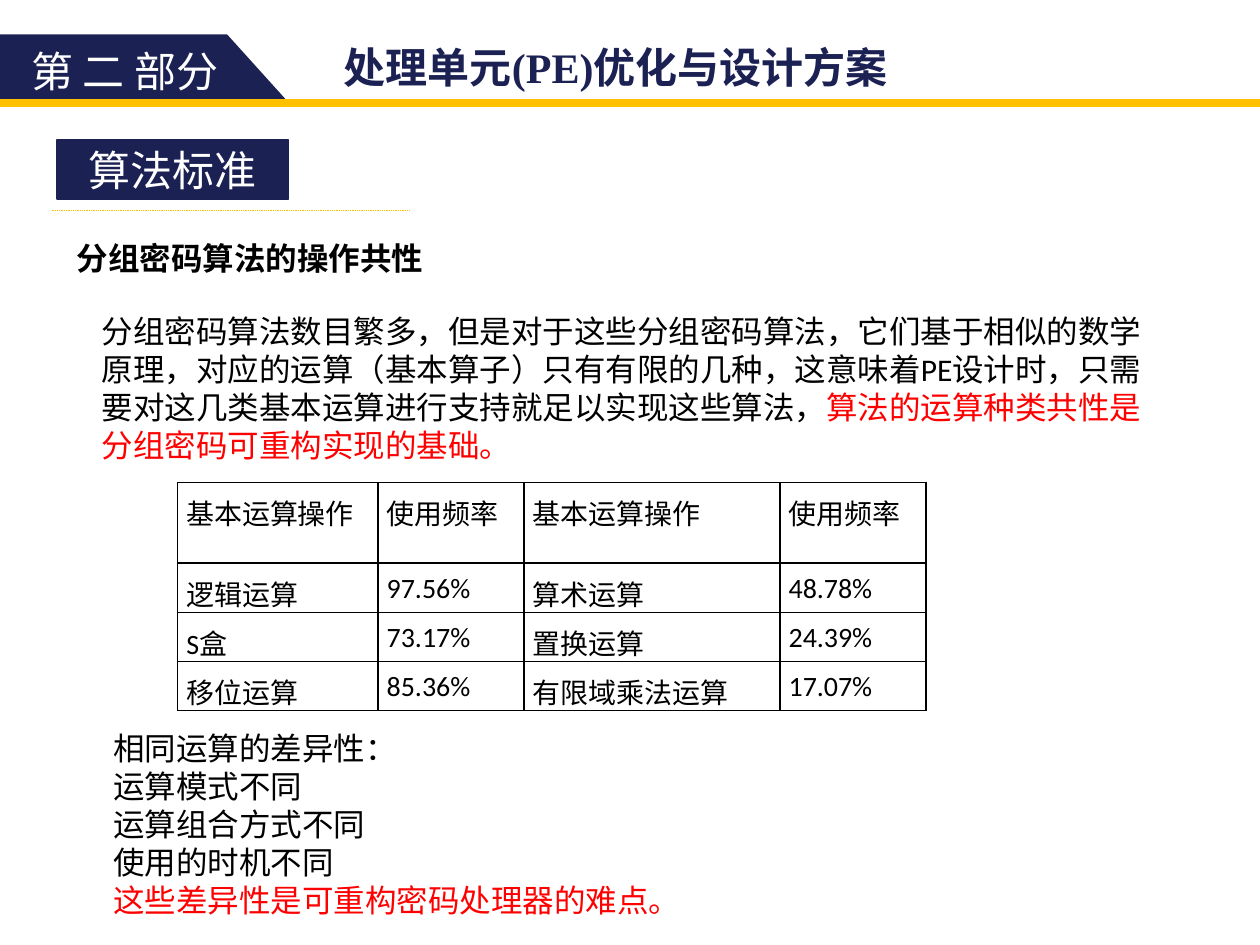
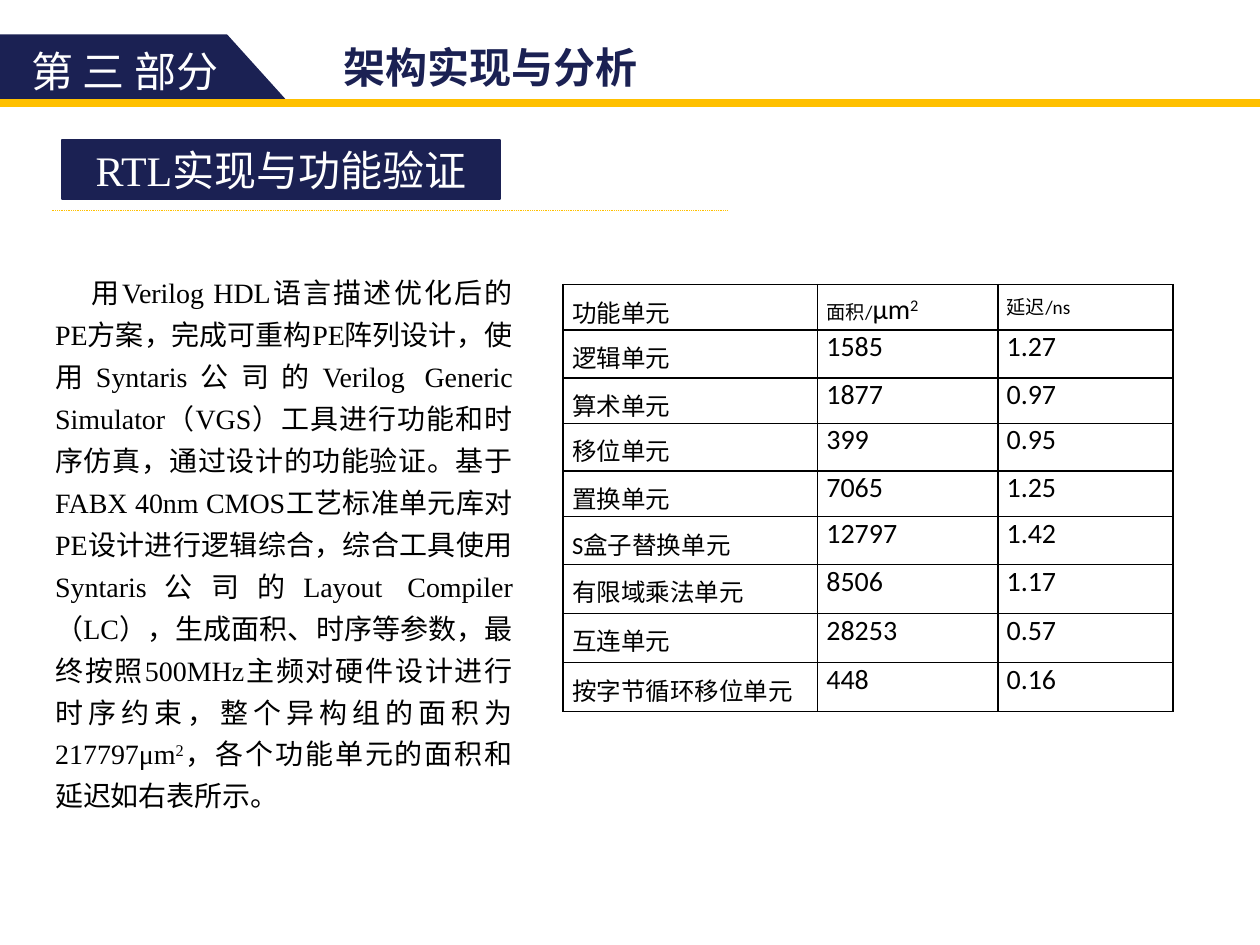
from lxml.etree import SubElement
from pptx import Presentation
from pptx.dml.color import RGBColor
from pptx.enum.dml import MSO_LINE_DASH_STYLE as Dash
from pptx.enum.shapes import MSO_CONNECTOR as Connector, MSO_SHAPE as Shape
from pptx.enum.text import MSO_ANCHOR as Anchor, MSO_AUTO_SIZE as AutoSize, PP_ALIGN as Align
from pptx.oxml import parse_xml
from pptx.oxml.ns import nsdecls, qn
from pptx.util import Inches, Pt

NAVY, GOLD, WHITE, BLACK, RED = "1B2153", "FFC000", "FFFFFF", "000000", "FF0000"
SANS, SERIF, CHINESE = "Calibri", "Times New Roman", "Noto Sans CJK SC"

# A paragraph is a list of runs; a run is (text, overrides).
HEADERS = [
    {"section": "第 二 部分", "title": "处理单元(PE)优化与设计方案",
     "topic": "算法标准", "topic_left": 0.45, "topic_width": 1.84, "rule_end": 3.25},
    {"section": "第 三 部分", "title": "架构实现与分析",
     "topic": "RTL实现与功能验证", "topic_left": 0.49, "topic_width": 3.48, "rule_end": 5.77},
]

COMMON_HEADING = [[("分组密码算法的操作共性", {})]]
COMMON_TEXT = [[
    ("分组密码算法数目繁多，但是对于这些分组密码算法，它们基于相似的数学原理，对应的运算（基本算子）"
     "只有有限的几种，这意味着PE设计时，只需要对这几类基本运算进行支持就足以实现这些算法，", {}),
    ("算法的运算种类共性是分组密码可重构实现的基础。", {"color": RED}),
]]
DIFFERENCES = [
    [("相同运算的差异性：", {})],
    [("运算模式不同", {})],
    [("运算组合方式不同", {})],
    [("使用的时机不同", {})],
    [("这些差异性是可重构密码处理器的难点。", {"color": RED})],
]
FREQUENCIES = [
    ["基本运算操作", "使用频率", "基本运算操作", "使用频率"],
    ["逻辑运算", "97.56%", "算术运算", "48.78%"],
    ["S盒", "73.17%", "置换运算", "24.39%"],
    ["移位运算", "85.36%", "有限域乘法运算", "17.07%"],
]

VERIFICATION = [[
    ("用Verilog HDL语言描述优化后的PE方案，完成可重构PE阵列设计，使用Syntaris公司的"
     "Verilog Generic Simulator（VGS）工具进行功能和时序仿真，通过设计的功能验证。"
     "基于FABX 40nm CMOS工艺标准单元库对PE设计进行逻辑综合，综合工具使用Syntaris公司的"
     "Layout Compiler（LC），生成面积、时序等参数，最终按照500MHz主频对硬件设计进行时序约束，"
     "整个异构组的面积为217797μm", {}),
    ("2", {"superscript": True}),
    ("，各个功能单元的面积和延迟如右表所示。", {}),
]]
UNIT_HEADER = [
    [("功能单元", {"size": 14})],
    [("面积/", {"size": 11}), ("μm", {"size": 16}), ("2", {"size": 16, "superscript": True})],
    [("延迟/ns", {"size": 11})],
]
UNITS = [
    ["逻辑单元", "1585", "1.27"],
    ["算术单元", "1877", "0.97"],
    ["移位单元", "399", "0.95"],
    ["置换单元", "7065", "1.25"],
    ["S盒子替换单元", "12797", "1.42"],
    ["有限域乘法单元", "8506", "1.17"],
    ["互连单元", "28253", "0.57"],
    ["按字节循环移位单元", "448", "0.16"],
]


def rgb(color):
    return RGBColor.from_string(color)


def format_paragraph(paragraph, size, color, latin=SANS, bold=False, align=Align.LEFT, spacing=None):
    font = paragraph.font
    font.size, font.bold, font.name = Pt(size), bold, latin
    font.color.rgb = rgb(color)
    properties = paragraph._p.get_or_add_pPr()
    SubElement(properties.find(qn("a:defRPr")), qn("a:ea"), typeface=CHINESE)
    paragraph.alignment = align
    if spacing:
        paragraph.line_spacing = spacing


def write(frame, paragraphs, size, color, **style):
    for index, runs in enumerate(paragraphs):
        paragraph = frame.add_paragraph() if index else frame.paragraphs[0]
        for text, overrides in runs:
            run = paragraph.add_run()
            run.text = text
            if "color" in overrides:
                run.font.color.rgb = rgb(overrides["color"])
            if "size" in overrides:
                run.font.size = Pt(overrides["size"])
            if "superscript" in overrides:
                run._r.get_or_add_rPr().set("baseline", "30000")
        format_paragraph(paragraph, size, color, **style)


def add_text(slide, box, paragraphs, size, color=BLACK, wrap=True, **style):
    frame = slide.shapes.add_textbox(*map(Inches, box)).text_frame
    frame.word_wrap = wrap
    write(frame, paragraphs, size, color, **style)
    return frame


def paint(shape, color):
    shape.shadow.inherit = False
    shape.fill.solid()
    shape.fill.fore_color.rgb = rgb(color)
    shape.line.color.rgb = rgb(color)
    shape.line.width = Pt(1)


def add_rectangle(slide, box, color):
    rectangle = slide.shapes.add_shape(Shape.RECTANGLE, *map(Inches, box))
    paint(rectangle, color)
    return rectangle


def add_header(slide, header):
    """Draw the section tab, gold band, slide title and topic label."""
    outline = slide.shapes.build_freeform(0, Inches(0.28))
    corners = [(1.8, 0.28), (2.26, 0.79), (0, 0.79)]
    outline.add_line_segments([(Inches(x), Inches(y)) for x, y in corners], close=True)
    paint(outline.convert_to_shape(), NAVY)
    add_rectangle(slide, (0, 0.79, 10, 0.05), GOLD)
    add_text(slide, (0.15, 0.31, 1.75, 0.51), [[(header["section"], {})]], 24, WHITE,
             wrap=False, latin=CHINESE)

    title = slide.shapes.title
    title.left, title.top, title.width, title.height = map(Inches, (2.63, 0.28, 7.24, 0.5))
    title.text_frame.auto_size = AutoSize.NONE
    title.text_frame.vertical_anchor = Anchor.TOP
    write(title.text_frame, [[(header["title"], {})]], 24, NAVY, latin=SERIF, bold=True)

    topic = add_rectangle(slide, (header["topic_left"], 1.11, header["topic_width"], 0.47), NAVY)
    topic.text_frame.vertical_anchor = Anchor.MIDDLE
    write(topic.text_frame, [[(header["topic"], {})]], 24, WHITE, latin=SERIF, align=Align.CENTER)

    ends = map(Inches, (0.41, 1.67, header["rule_end"], 1.67))
    rule = slide.shapes.add_connector(Connector.STRAIGHT, *ends)
    rule.line.color.rgb = rgb(GOLD)
    rule.line.width = Pt(0.5)
    rule.line.dash_style = Dash.ROUND_DOT
    SubElement(rule._element.spPr, qn("a:effectLst"))


def add_borders(cell):
    properties = cell._tc.get_or_add_tcPr()
    for index, side in enumerate(("lnL", "lnR", "lnT", "lnB")):
        properties.insert(index, parse_xml(
            f'<a:{side} {nsdecls("a")} w="{Pt(1)}"><a:solidFill><a:srgbClr val="{BLACK}"/>'
            f'</a:solidFill></a:{side}>'))


def add_grid(slide, corner, widths, heights, rows, cell_style):
    """Add a bordered table; cell_style(row, column) gives each cell's text style."""
    size = (sum(widths), sum(heights))
    frame = slide.shapes.add_table(len(rows), len(widths), *map(Inches, (*corner, *size)))
    table = frame.table
    table.first_row = table.horz_banding = False
    for column, width in zip(table.columns, widths):
        column.width = Inches(width)
    for row, height in zip(table.rows, heights):
        row.height = Inches(height)
    for r, row in enumerate(rows):
        for c, content in enumerate(row):
            cell = table.cell(r, c)
            cell.margin_left = cell.margin_right = Inches(0.07)
            cell.margin_top = cell.margin_bottom = 0
            cell.fill.background()
            add_borders(cell)
            runs = [(content, {})] if isinstance(content, str) else content
            write(cell.text_frame, [runs], color=BLACK, **cell_style(r, c))


def frequency_style(row, column):
    return {"size": 16, "align": Align.JUSTIFY, "spacing": 1.25}


def unit_style(row, column):
    if row == 0 or column == 0:
        return {"size": 14, "spacing": 1.25}
    return {"size": 16, "align": Align.JUSTIFY}


def fill_algorithm_slide(slide):
    add_text(slide, (0.51, 1.85, 8.96, 0.4), COMMON_HEADING, 18, bold=True)
    add_grid(slide, (1.41, 3.83), [1.59, 1.16, 2.03, 1.16], [0.64] + [0.39] * 3,
             FREQUENCIES, frequency_style)
    add_text(slide, (0.71, 2.43, 8.59, 1.31), COMMON_TEXT, 18)
    add_text(slide, (0.8, 5.74, 8.14, 1.62), DIFFERENCES, 18)


def fill_verification_slide(slide):
    add_grid(slide, (4.47, 2.26), [2.02, 1.43, 1.39], [0.36, 0.38] * 3 + [0.39] * 3,
             [UNIT_HEADER] + UNITS, unit_style)
    frame = add_text(slide, (0.34, 2.07, 3.83, 4.44), VERIFICATION, 16, latin=SERIF,
                     align=Align.JUSTIFY, spacing=1.25)
    frame.paragraphs[0]._p.get_or_add_pPr().set("indent", str(Inches(0.29)))


def main():
    presentation = Presentation()
    presentation.slide_width, presentation.slide_height = Inches(10), Inches(7.5)
    title_only = presentation.slide_layouts[5]
    for header, fill_slide in zip(HEADERS, (fill_algorithm_slide, fill_verification_slide)):
        slide = presentation.slides.add_slide(title_only)
        add_header(slide, header)
        fill_slide(slide)
    presentation.save("out.pptx")


if __name__ == "__main__":
    main()
